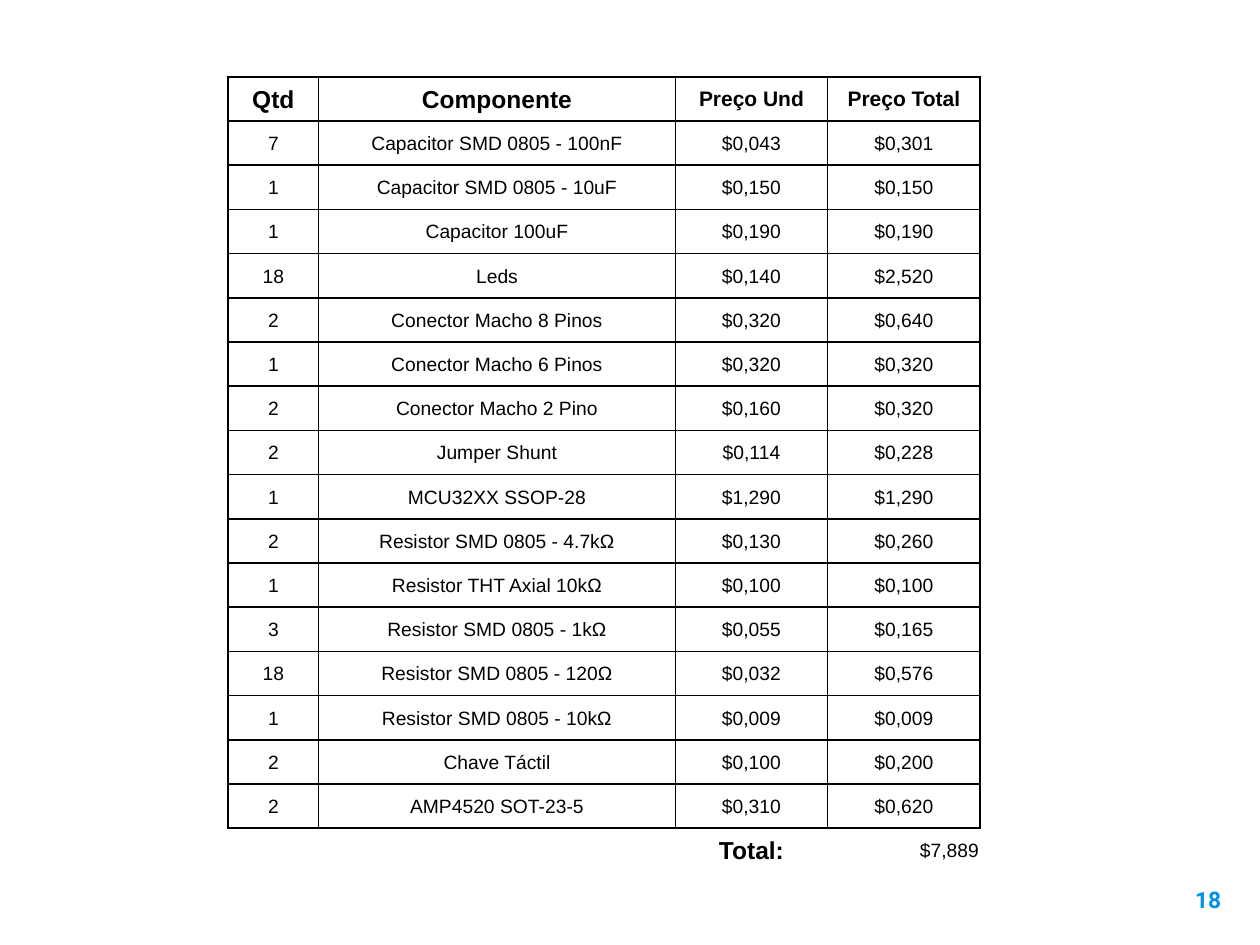
from lxml.etree import SubElement
from pptx import Presentation
from pptx.dml.color import RGBColor
from pptx.enum.text import MSO_ANCHOR, PP_ALIGN
from pptx.oxml.ns import qn
from pptx.util import Inches, Pt

BLACK, BLUE = "000000", "0091EA"
HEADERS = ["Qtd", "Componente", "Preço Und", "Preço Total"]
COMPONENTS = [
    ["7", "Capacitor SMD 0805 - 100nF", "$0,043", "$0,301"],
    ["1", "Capacitor SMD 0805 - 10uF", "$0,150", "$0,150"],
    ["1", "Capacitor 100uF", "$0,190", "$0,190"],
    ["18", "Leds", "$0,140", "$2,520"],
    ["2", "Conector Macho 8 Pinos", "$0,320", "$0,640"],
    ["1", "Conector Macho 6 Pinos", "$0,320", "$0,320"],
    ["2", "Conector Macho 2 Pino", "$0,160", "$0,320"],
    ["2", "Jumper Shunt", "$0,114", "$0,228"],
    ["1", "MCU32XX SSOP-28", "$1,290", "$1,290"],
    ["2", "Resistor SMD 0805 - 4.7kΩ", "$0,130", "$0,260"],
    ["1", "Resistor THT Axial 10kΩ", "$0,100", "$0,100"],
    ["3", "Resistor SMD 0805 - 1kΩ", "$0,055", "$0,165"],
    ["18", "Resistor SMD 0805 - 120Ω", "$0,032", "$0,576"],
    ["1", "Resistor SMD 0805 - 10kΩ", "$0,009", "$0,009"],
    ["2", "Chave Táctil", "$0,100", "$0,200"],
    ["2", "AMP4520 SOT-23-5", "$0,310", "$0,620"],
]
TOTALS = ["", "", "Total:", "$7,889"]
COLUMN_WIDTHS = [0.72, 2.83, 1.21, 1.21]
CELL_FORMAT = {
    "vertical_anchor": MSO_ANCHOR.MIDDLE,
    "margin_left": Inches(0.01),
    "margin_right": Inches(0.01),
    "margin_top": Inches(0.01),
    "margin_bottom": 0,
}


def color(hex_value):
    return RGBColor.from_string(hex_value)


def set_attributes(target, values):
    for name, value in values.items():
        setattr(target, name, value)


def write(frame, text, size, bold=False, font="Arial", fill=BLACK, align=PP_ALIGN.CENTER):
    paragraph = frame.paragraphs[0]
    paragraph.alignment = align
    run = paragraph.add_run()
    run.text = text
    set_attributes(run.font, {"name": font, "size": Pt(size), "bold": bold})
    run.font.color.rgb = color(fill)


def set_borders(cell, visible_sides):
    properties = cell._tc.get_or_add_tcPr()
    for side in "LRTB":
        line = SubElement(properties, qn(f"a:ln{side}"), w=str(Pt(1)))
        if side in visible_sides:
            solid = SubElement(line, qn("a:solidFill"))
            SubElement(solid, qn("a:srgbClr"), val=BLACK)
        else:
            SubElement(line, qn("a:noFill"))


def text_size(row, column, is_total):
    if row == 0:
        return 14 if column < 2 else 12
    return 14 if is_total and column == 2 else 11


def add_cost_table(slide, left, top, width, height):
    rows = [HEADERS, *COMPONENTS, TOTALS]
    table = slide.shapes.add_table(
        len(rows), len(HEADERS), left, top, width, height).table
    set_attributes(table, {"first_row": False, "horz_banding": False})
    for column, column_width in zip(table.columns, COLUMN_WIDTHS):
        column.width = Inches(column_width)

    for row_index, values in enumerate(rows):
        is_total = values is TOTALS
        for column_index, text in enumerate(values):
            cell = table.cell(row_index, column_index)
            set_attributes(cell, CELL_FORMAT)
            # The total row only keeps the line above it
            set_borders(cell, "T" if is_total else "LRTB")
            cell.fill.background()
            if text:
                write(cell.text_frame, text,
                      text_size(row_index, column_index, is_total),
                      bold=row_index == 0 or text == "Total:",
                      align=PP_ALIGN.RIGHT if is_total and column_index == 3
                      else PP_ALIGN.CENTER)


def add_page_number(slide, left, top, width, height):
    frame = slide.shapes.add_textbox(left, top, width, height).text_frame
    margins = ("margin_left", "margin_right", "margin_top", "margin_bottom")
    set_attributes(frame, {"word_wrap": True, **dict.fromkeys(margins, Inches(0.1))})
    write(frame, "18", 13, True, "Roboto", BLUE, PP_ALIGN.RIGHT)


def main():
    presentation = Presentation()
    set_attributes(presentation, {"slide_width": Inches(10), "slide_height": Inches(7.5)})
    slide = presentation.slides.add_slide(presentation.slide_layouts[6])

    # Page number
    add_page_number(slide, Inches(9.19), Inches(6.93), Inches(0.6), Inches(0.57))
    # Component costs
    add_cost_table(slide, Inches(1.81), Inches(0.61), Inches(5.97), Inches(6.32))

    presentation.save("out.pptx")


if __name__ == "__main__":
    main()
